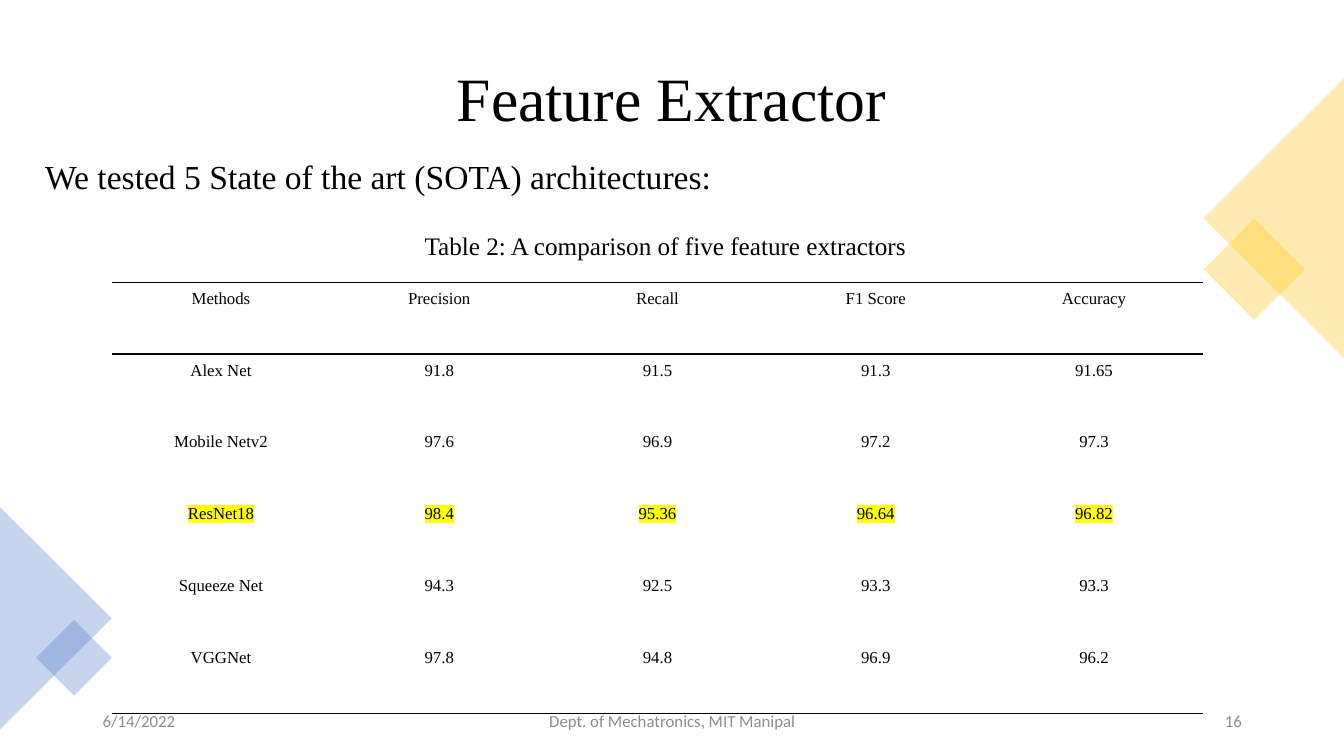
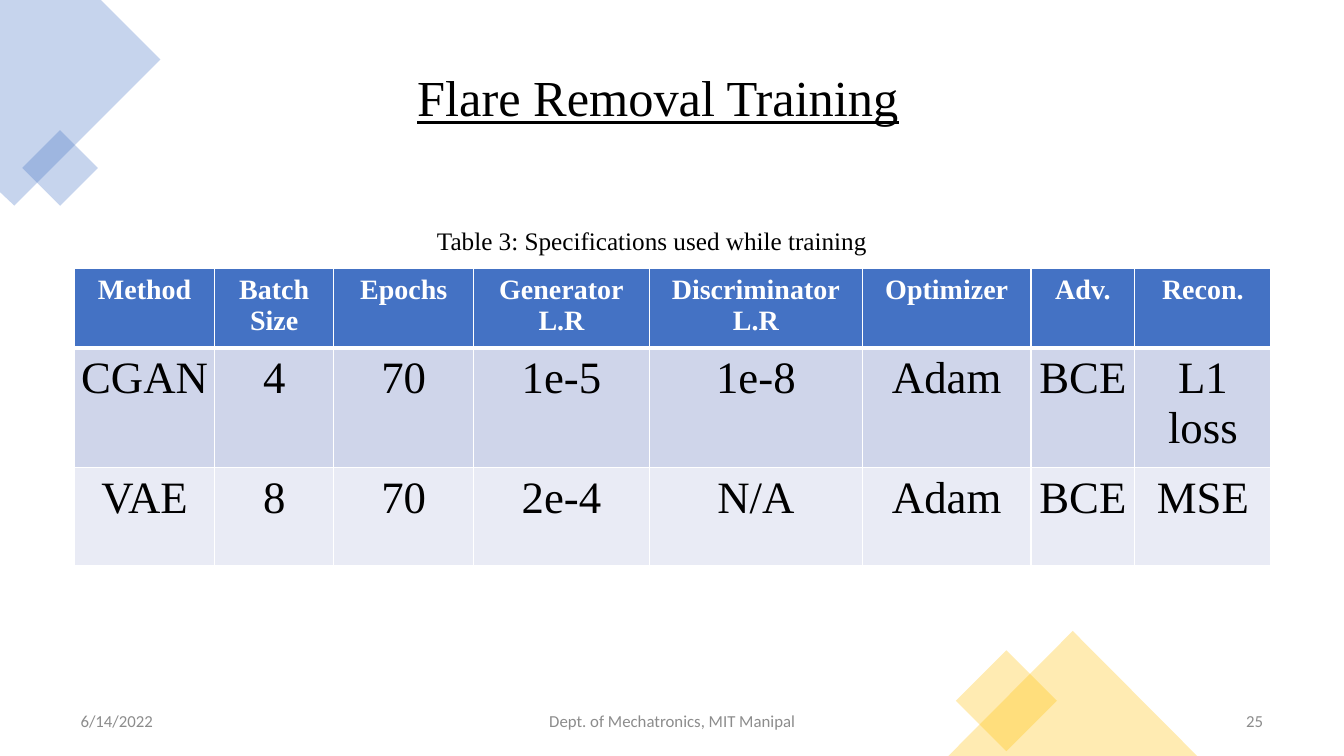
from lxml import etree
from pptx import Presentation
from pptx import util as u
from pptx.dml.color import RGBColor
from pptx.enum import shapes, text
from pptx.oxml import ns

Cm, Pt = u.Cm, u.Pt
hues = {"ink": "000000", "white": "FFFFFF", "gray": "8C8C8C", "blue": "4472C4",
        "gold": "FFC000", "mark": "FFFF00", "odd": "CFD5EA", "even": "E9EBF5"}
serif, sans = "Times New Roman", "Calibri"
left, mid, right = text.PP_ALIGN.LEFT, text.PP_ALIGN.CENTER, text.PP_ALIGN.RIGHT
rect, tri = shapes.MSO_SHAPE.RECTANGLE, shapes.MSO_SHAPE.ISOSCELES_TRIANGLE


def write(frame, words, size, side=mid, hue="ink", face=serif, bold=False):
    frame.text = words
    frame.word_wrap = True
    for par in frame.paragraphs:
        par.alignment = side
        for run in par.runs:
            run.font.size = Pt(size)
            run.font.name = face
            run.font.bold = bold
            run.font.color.rgb = RGBColor.from_string(hues[hue])


def edge(cell, lines):
    props = cell._tc.get_or_add_tcPr()
    for side in "LRTB":
        hue, width = lines.get(side, (None, 1))
        line = etree.SubElement(props, ns.qn("a:ln" + side), w=str(Pt(width)))
        if hue:
            fill = etree.SubElement(line, ns.qn("a:solidFill"))
            etree.SubElement(fill, ns.qn("a:srgbClr"), val=hues[hue])
        else:
            etree.SubElement(line, ns.qn("a:noFill"))


pages = [
    {"title": "Feature Extractor", "box": (10.06, 0.33, 13.74, 4.45),
     "size": 44, "side": mid, "under": False,
     "decor": [(rect, "gold", 45, 30.71, 5.89, 1.8, 1.8),
               (tri, "gold", 270, 28.58, 3.73, 7.04, 3.53),
               (tri, "blue", 90, -1.4, 14.17, 5.61, 2.82),
               (rect, "blue", 45, 1.19, 15.9, 1.35, 1.35)],
     "label": "Table 2: A comparison of five feature extractors",
     "place": (6.84, 5.69, 19.86, 1.02),
     "number": "16", "date": 2.34, "count": 23.93},
    {"title": "Flare Removal Training", "box": (10.26, 0.28, 13.34, 4.5),
     "size": 36, "side": left, "under": True,
     "decor": [(rect, "blue", 45, 0.84, 3.56, 1.35, 1.35),
               (rect, "gold", 45, 24.46, 16.76, 1.8, 1.8),
               (tri, "gold", 0, 23.9, 15.9, 6.27, 3.15)],
     "label": "Table 3: Specifications used while training",
     "place": (10.08, 5.56, 12.7, 1.02),
     "number": "25", "date": 1.78, "count": 24.46},
]
corner = [(0, 0), (2.54, 0), (4.04, 1.5), (0.36, 5.18), (0, 4.84)]
scores = [
    ["Methods", "Precision", "Recall", "F1 Score", "Accuracy"],
    ["Alex Net", "91.8", "91.5", "91.3", "91.65"],
    ["Mobile Netv2", "97.6", "96.9", "97.2", "97.3"],
    ["ResNet18", "98.4", "95.36", "96.64", "96.82"],
    ["Squeeze Net", "94.3", "92.5", "93.3", "93.3"],
    ["VGGNet", "97.8", "94.8", "96.9", "96.2"],
]
specs = [
    ["Method", "Batch Size", "Epochs", "Generator\nL.R", "Discriminator\nL.R",
     "Optimizer", "Adv.", "Recon."],
    ["CGAN", "4", "70", "1e-5", "1e-8", "Adam", "BCE", "L1 loss"],
    ["VAE", "8", "70", "2e-4", "N/A", "Adam", "BCE", "MSE"],
]
grids = [
    (scores, 2.82, 7.11, [5.5] * 5, [1.81] * 6, 0.18),
    (specs, 1.88, 6.76, [3.53, 3, 3.53, 4.42, 5.38, 4.24, 2.62, 3.43],
     [2.01, 2.46, 2.46], 0.15),
]

deck = Presentation()
deck.slide_width, deck.slide_height = Cm(33.87), Cm(19.05)
slides = []
for page in pages:
    slide = deck.slides.add_slide(deck.slide_layouts[5])
    slides.append(slide)
    title = slide.shapes.title
    title.left, title.top, title.width, title.height = map(Cm, page["box"])
    write(title.text_frame, page["title"], page["size"], page["side"])
    title.text_frame.auto_size = text.MSO_AUTO_SIZE.NONE
    title.text_frame.vertical_anchor = text.MSO_ANCHOR.MIDDLE
    head = title.text_frame.paragraphs[0]
    head.line_spacing = 0.9
    head.runs[0].font.underline = page["under"]

    forms = []
    for kind, hue, turn, *box in page["decor"]:
        form = slide.shapes.add_shape(kind, *map(Cm, box))
        form.rotation = turn
        forms.append((form, hue))
    if page is pages[1]:
        pen = slide.shapes.build_freeform(0, 0, scale=Cm(0.01))
        pen.add_line_segments([(x * 100, y * 100) for x, y in corner[1:]])
        forms.append((pen.convert_to_shape(), "blue"))
    for form, hue in forms:
        form.shadow.inherit = False
        form.line.fill.background()
        form.fill.solid()
        form.fill.fore_color.rgb = RGBColor.from_string(hues[hue])
        shade = form._element.spPr.find(".//" + ns.qn("a:srgbClr"))
        etree.SubElement(shade, ns.qn("a:alpha"), val="30000")

    label = slide.shapes.add_textbox(*map(Cm, page["place"]))
    write(label.text_frame, page["label"], 18)
    foot = [("6/14/2022", page["date"], 7.62, left),
            ("Dept. of Mechatronics, MIT Manipal", 11.23, 11.43, mid),
            (page["number"], page["count"], 7.62, right)]
    for words, x, wide, side in foot:
        note = slide.shapes.add_textbox(Cm(x), Cm(17.65), Cm(wide), Cm(1.02))
        write(note.text_frame, words, 12, side, "gray", sans)
        note.text_frame.vertical_anchor = text.MSO_ANCHOR.MIDDLE

intro = slides[0].shapes.add_textbox(Cm(0.89), Cm(3.91), Cm(19), Cm(2.29))
write(intro.text_frame, "We tested 5 State of the art (SOTA) architectures:", 24, left)
intro.text_frame.paragraphs[0].line_spacing = 0.9

for slide, (rows, x, y, wides, highs, pad) in zip(slides, grids):
    frame = slide.shapes.add_table(len(rows), len(wides), Cm(x), Cm(y),
                                   Cm(sum(wides)), Cm(sum(highs)))
    table = frame.table
    for col, wide in zip(table.columns, wides):
        col.width = Cm(wide)
    for r, row in enumerate(rows):
        table.rows[r].height = Cm(highs[r])
        for c, words in enumerate(row):
            cell = table.cell(r, c)
            cell.margin_left = cell.margin_right = Cm(pad)
            cell.margin_top = cell.margin_bottom = Cm(pad)
            if rows is scores:
                write(cell.text_frame, words, 12)
                lines = {}
                if r < 2:
                    lines["T"] = ("ink", 1)
                if r in (0, len(rows) - 1):
                    lines["B"] = ("ink", 1)
                edge(cell, lines)
                cell.fill.background()
                if row[0] == "ResNet18":
                    run = cell.text_frame.paragraphs[0].runs[0]
                    mark = etree.Element(ns.qn("a:highlight"))
                    etree.SubElement(mark, ns.qn("a:srgbClr"), val=hues["mark"])
                    run._r.rPr.find(ns.qn("a:latin")).addprevious(mark)
            else:
                top = r == 0
                write(cell.text_frame, words, 20 if top else 32,
                      hue="white" if top else "ink", bold=top)
                lines = {side: ("white", 1) for side in "LRTB"}
                if r < 2:
                    lines["T" if r else "B"] = ("white", 3)
                edge(cell, lines)
                cell.fill.solid()
                tint = ("blue", "odd", "even")[r]
                cell.fill.fore_color.rgb = RGBColor.from_string(hues[tint])

deck.save("out.pptx")
